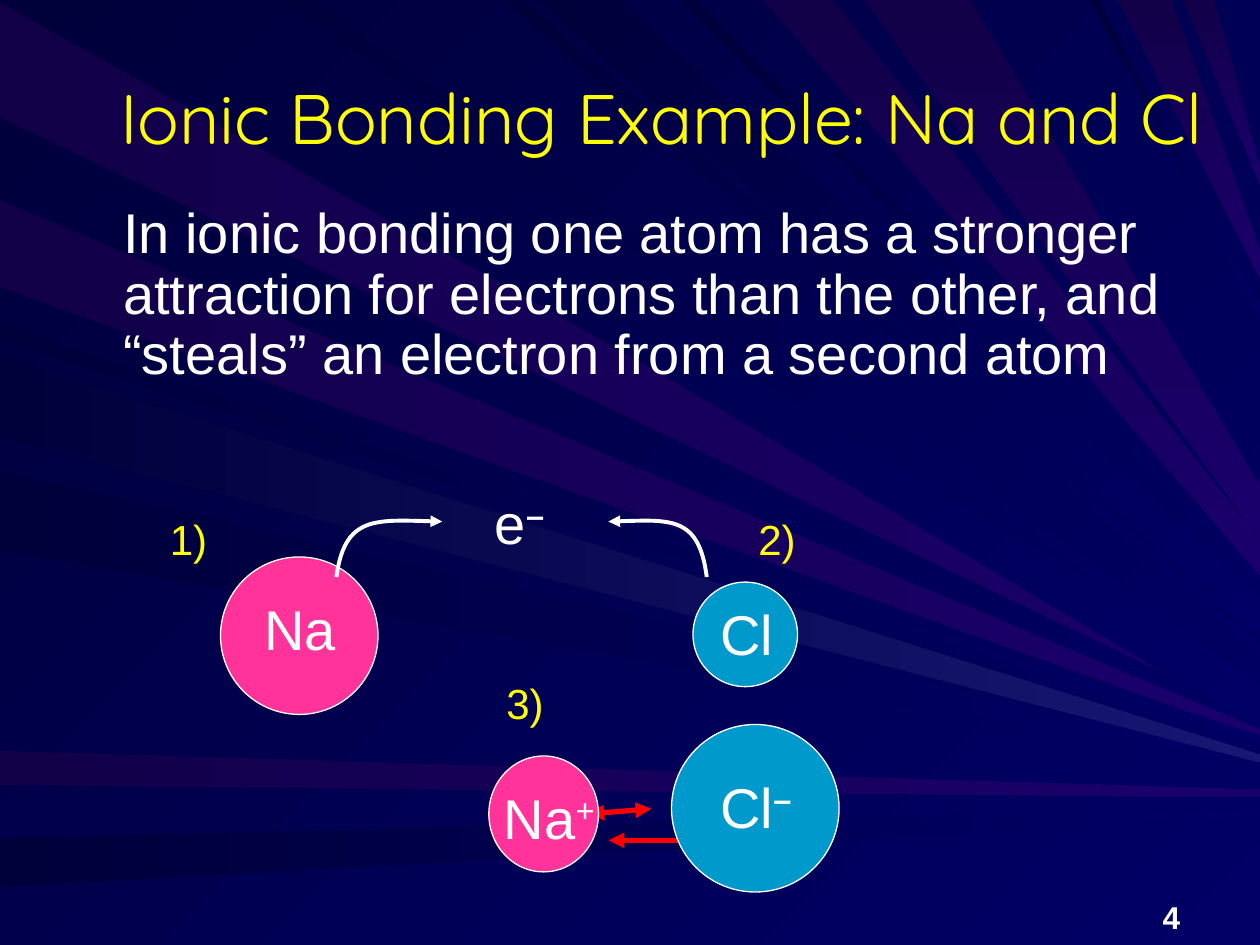
"""Build a slide that shows ionic bonding between Na and Cl."""
from lxml.etree import SubElement
from pptx import Presentation
from pptx.dml.color import RGBColor
from pptx.enum.shapes import MSO_CONNECTOR, MSO_SHAPE
from pptx.enum.text import MSO_ANCHOR, PP_ALIGN
from pptx.oxml.ns import qn
from pptx.util import Cm, Pt

WHITE = RGBColor.from_string("FFFFFF")
YELLOW = RGBColor.from_string("FFFF00")
PINK = RGBColor.from_string("FF3399")
CYAN = RGBColor.from_string("0099CC")
RED = RGBColor.from_string("FF0000")
NIGHT = RGBColor.from_string("00003B")
NAVY = RGBColor.from_string("000066")
GRAPE = RGBColor.from_string("120048")
PLUM = RGBColor.from_string("1A006C")
GLOW = RGBColor.from_string("171774")
UNIT = 2.54
WIDE, HIGH = 10, 7.5

# Each ray: start on its edge, width there, height where it meets the right side
RAYS = [
    ("left", GRAPE, PLUM, 0, [(0.02, 0.91, 5.67), (1.59, 0.69, 5.82), (5.96, 0.27, 6.3)]),
    ("top", NIGHT, NAVY, 45, [(0.26, 0.75, 5.6), (2.25, 0.22, 5.48), (3.98, 0.18, 5.16),
                              (4.26, 0.66, 4.9), (5.4, 0.12, 4.6), (8.65, 0.07, 2.5)]),
    ("top", GRAPE, PLUM, 90, [(6.06, 0.55, 4.43), (6.86, 0.84, 4.07),
                              (8.87, 0.43, 2.1), (9.39, 0.25, 1.4)]),
    ("left", NIGHT, NAVY, 0, [(2.58, 0.12, 5.87), (3.74, 0.63, 6.04), (6.65, 0.39, 6.45)]),
    ("left", NIGHT, GLOW, 0, [(2.83, 0.64, 6.02)]),
]
BEND = [(0, 0.46), (0.07, -0.05), (0.33, 0.01), (0.84, 0.02)]
CURVES = [(2.67, 1), (5.61, -0.93)]
LINES = [(4.83, 6.67, 5.75, 6.67), (5.17, 6.42, 4.67, 6.46)]
BALLS = [
    (1.75, 4.42, 1.25, 1.25, PINK),
    (5.5, 4.62, 0.83, 0.83, CYAN),
    (3.88, 6, 0.87, 0.92, PINK),
    (5.33, 5.75, 1.33, 1.33, CYAN),
]
TITLE = "Ionic Bonding Example: Na and Cl"
BODY = ("In ionic bonding one atom has a stronger attraction for electrons "
        "than the other, and “steals” an electron from a second atom")
STEPS = [("1)", 1.25, 4.03), ("2)", 5.92, 4.03), ("3)", 3.92, 5.33)]
SIGNS = [
    ("Na", "", 1.83, 4.67, 0.17),
    ("Cl", "", 5.5, 4.71, 0.12),
    ("e", "–", 3.83, 3.83, 0),
    ("Na", "+", 3.88, 6.17, 0.12),
    ("Cl", "–", 5.5, 6.08, 0.12),
]


def inch(*sizes):
    return [Cm(size * UNIT) for size in sizes]


def blend(fill, first, last, angle):
    fill.gradient()
    fill.gradient_angle = (360 - angle) % 360
    for stop, tone in zip(fill.gradient_stops, (first, last)):
        stop.color.rgb = tone


def trace(shapes, points, close):
    fine = [inch(*pair) for pair in points]
    pen = shapes.build_freeform(*fine[0])
    pen.add_line_segments(fine[1:], close=close)
    shape = pen.convert_to_shape()
    shape.shadow.inherit = False
    return shape


def beam(edge, start, width, end, half=0.03):
    stop = start + width
    if edge == "left":
        return [(0, start), (0, stop), (WIDE, end + half), (WIDE, end - half)]
    half = max(half, width / 4)
    return [(start, 0), (stop, 0), (WIDE, end - half), (WIDE, end + half)]


def bend(left, scale, top=4.12, steps=24):
    points = []
    for step in range(steps + 1):
        t = step / steps
        rates = ((1 - t) ** 3, 3 * t * (1 - t) ** 2, 3 * t * t * (1 - t), t ** 3)
        x, y = (sum(r * node[axis] for r, node in zip(rates, BEND)) for axis in (0, 1))
        points.append((left + scale * x, top + y))
    return points if scale > 0 else points[::-1]


def point(shape, tone, width, *ends):
    shape.line.color.rgb = tone
    shape.line.width = Pt(width)
    line = shape._element.spPr.find(qn("a:ln"))
    for end in ends:
        SubElement(line, qn(f"a:{end}"), type="triangle")


def write(shapes, text, place, size=32, tone=WHITE, font="Arial", bold=False,
          sup="", inset=0.1, indent=0, align=PP_ALIGN.LEFT,
          anchor=MSO_ANCHOR.TOP, space=None):
    frame = shapes.add_textbox(*inch(*place)).text_frame
    frame.word_wrap = True
    frame.vertical_anchor = anchor
    frame.margin_left = frame.margin_right = Cm(inset * UNIT)
    para = frame.paragraphs[0]
    para.alignment = align
    para.line_spacing = space
    para._p.get_or_add_pPr().set("marL", str(int(Cm(indent * UNIT))))
    for part in filter(None, (text, sup)):
        run = para.add_run()
        run.text = part
        run.font.name = font
        run.font.size = Pt(size)
        run.font.bold = bold or part == "–"
        run.font.color.rgb = tone
    if sup:
        run._r.get_or_add_rPr().set("baseline", "30000")


def main():
    deck = Presentation()
    deck.slide_width, deck.slide_height = inch(WIDE, HIGH)
    slide = deck.slides.add_slide(deck.slide_layouts[6])
    shapes = slide.shapes
    blend(slide.background.fill, NIGHT, NAVY, 45)

    for edge, first, last, angle, group in RAYS:
        for place in group:
            ray = trace(shapes, beam(edge, *place), True)
            ray.line.fill.background()
            blend(ray.fill, first, last, angle)

    write(shapes, TITLE, (0.5, 0.3, 9.5, 1.25), size=40, tone=YELLOW,
          font="Quicksand", align=PP_ALIGN.CENTER, anchor=MSO_ANCHOR.MIDDLE)
    write(shapes, BODY, (0.5, 1.58, 9.25, 1.67), indent=0.38, space=0.9)

    for ends in LINES:
        link = shapes.add_connector(MSO_CONNECTOR.STRAIGHT, *inch(*ends))
        point(link, RED, 3, "headEnd", "tailEnd")
        SubElement(link._element.spPr, qn("a:effectLst"))

    for *place, tone in BALLS:
        ball = shapes.add_shape(MSO_SHAPE.OVAL, *inch(*place))
        ball.shadow.inherit = False
        ball.fill.solid()
        ball.fill.fore_color.rgb = tone
        point(ball, WHITE, 0.75)

    for left, scale in CURVES:
        curve = trace(shapes, bend(left, scale), False)
        curve.fill.background()
        point(curve, WHITE, 2.25, "tailEnd" if scale > 0 else "headEnd")

    for text, left, top in STEPS:
        write(shapes, text, (left, top, 1.17, 0.5), size=24, tone=YELLOW)
    for text, sup, left, top, indent in SIGNS:
        tight = sup == "+"
        write(shapes, text, (left, top, 0.87 if tight else 1.17, 0.64),
              sup=sup, inset=0 if tight else 0.1, indent=indent)
    write(shapes, "4", (9.13, 7.08, 0.87, 0.4), size=18, bold=True)
    deck.save("out.pptx")


if __name__ == "__main__":
    main()
